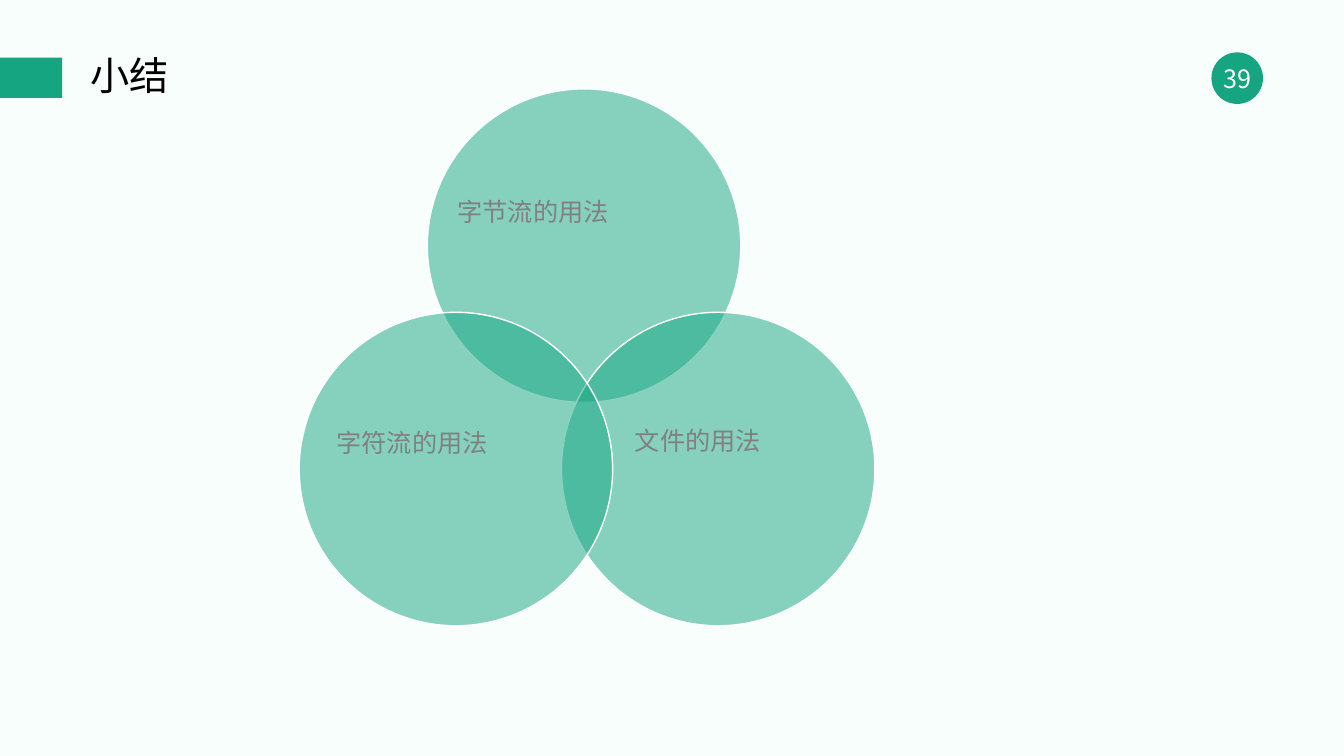
import pptx
import pptx.util
import pptx.dml.color
import pptx.enum.shapes
import pptx.enum.text
import pptx.oxml
import pptx.oxml.ns
from pptx.util import Cm

HUES = {"back": "F8FEFC", "green": "15A681", "white": "FFFFFF",
        "black": "000000", "gray": "808080"}
SANS = "Noto Sans CJK SC"
KIND = pptx.enum.shapes.MSO_SHAPE
ALIGN = pptx.enum.text.PP_ALIGN
ANCHOR = pptx.enum.text.MSO_ANCHOR


def paint(fill, hue):
    fill.solid()
    fill.fore_color.rgb = pptx.dml.color.RGBColor.from_string(HUES[hue])


def write(text, left, top, width, height, size=18, font="Calibri", hue="gray",
          align=ALIGN.LEFT, anchor=ANCHOR.TOP, wrap=True, line=None, before=None):
    box = slide.shapes.add_textbox(Cm(left), Cm(top), Cm(width), Cm(height))
    frame = box.text_frame
    frame.word_wrap = wrap
    frame.vertical_anchor = anchor
    para = frame.paragraphs[0]
    para.alignment = align
    para.line_spacing = line
    para.space_before = before
    run = para.add_run()
    run.text = text
    run.font.size = pptx.util.Pt(size)
    run.font.name = font
    paint(run.font.fill, hue)
    east = pptx.oxml.parse_xml(
        f'<a:ea {pptx.oxml.ns.nsdecls("a")} typeface="{SANS}"/>')
    run.font.fill  # the East Asian face follows the Latin one
    run._r.rPr.find(pptx.oxml.ns.qn("a:latin")).addnext(east)


deck = pptx.Presentation()
deck.slide_width, deck.slide_height = Cm(33.87), Cm(19.05)
slide = deck.slides.add_slide(deck.slide_layouts[6])
paint(slide.background.fill, "back")

# Page badge and title bar
for kind, left, top, width, height in [
    (KIND.OVAL, 30.53, 1.32, 1.3, 1.3),
    (KIND.RECTANGLE, 0, 1.45, 1.57, 1.02),
]:
    mark = slide.shapes.add_shape(kind, Cm(left), Cm(top), Cm(width), Cm(height))
    mark.shadow.inherit = False
    paint(mark.fill, "green")
    mark.line.fill.background()

write("39", 30.53, 1.07, 1.3, 1.8, font=SANS, hue="white",
      align=ALIGN.CENTER, anchor=ANCHOR.MIDDLE)
write("小结", 2.03, 1.32, 18.92, 1.3, size=28, font=SANS, hue="black",
      anchor=ANCHOR.MIDDLE, line=0.9, before=pptx.util.Pt(10))

# Three overlapping circles, half transparent
for left, top in [(10.77, 2.24), (14.15, 7.87), (7.54, 7.87)]:
    ring = slide.shapes.add_shape(KIND.OVAL, Cm(left), Cm(top), Cm(7.9), Cm(7.9))
    ring.shadow.inherit = False
    paint(ring.fill, "green")
    tint = ring._element.spPr.find(".//" + pptx.oxml.ns.qn("a:srgbClr"))
    tint.append(pptx.oxml.parse_xml(
        f'<a:alpha {pptx.oxml.ns.nsdecls("a")} val="50000"/>'))
    paint(ring.line.fill, "white")
    ring.line.width = pptx.util.Pt(1)

# Circle labels
write("字节流的用法", 11.28, 4.83, 7.09, 1.02)
write("字符流的用法", 8.23, 10.64, 4.37, 1.02, wrap=False)
write("文件的用法", 15.75, 10.59, 4.88, 1.02)

deck.save("out.pptx")
